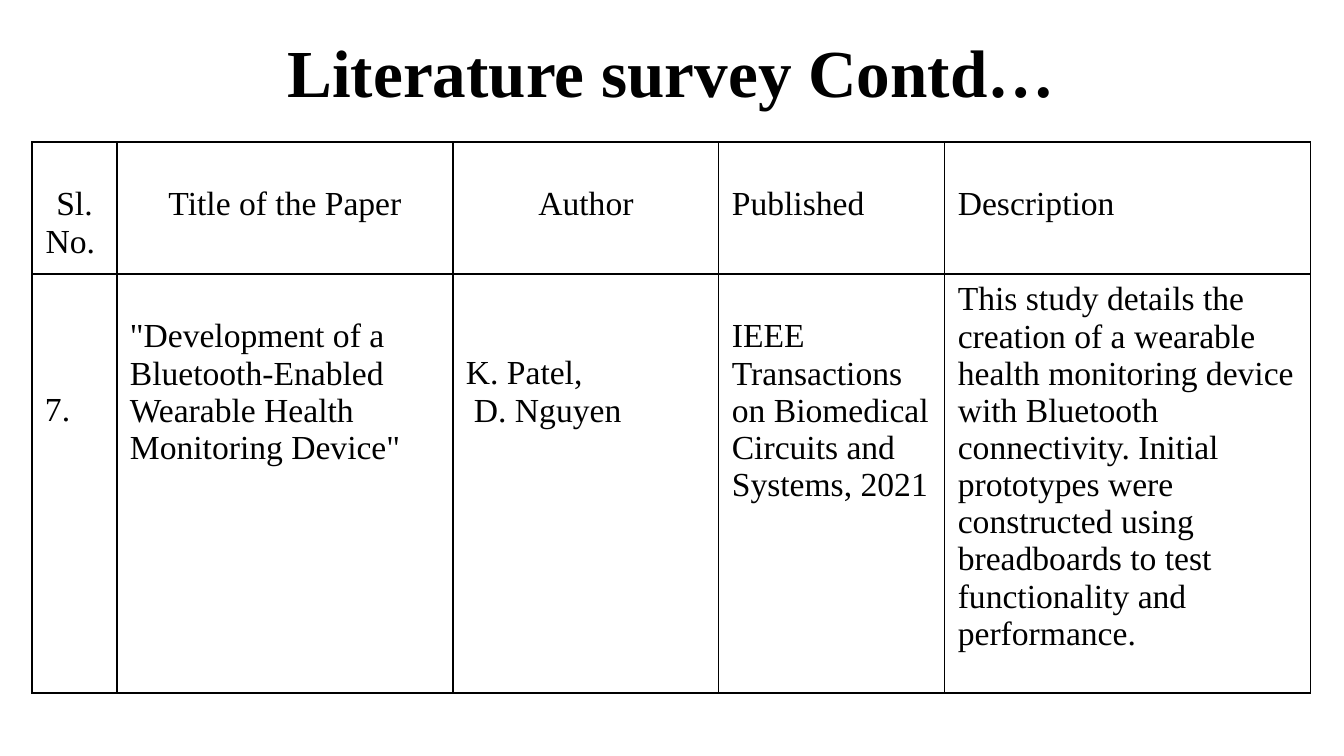
from lxml.etree import SubElement as Sub
from pptx import Presentation
from pptx.dml.color import RGBColor
from pptx.enum.text import MSO_ANCHOR as Anchor, PP_ALIGN as Align
from pptx.oxml.ns import qn
from pptx.util import Pt

SCALE = 12192000 / 1344
BLACK = RGBColor(0, 0, 0)
WHITE = RGBColor(255, 255, 255)
FONT = "Times New Roman"
LINE = 37
PAD_X, PAD_Y = 13, 7
COLS = [85, 336, 266, 226, 366]
ROWS = [132, 419]

HEAD = [
    ("Sl. No. ", 1, Align.CENTER),
    ("Title of the Paper", 1, Align.CENTER),
    ("Author", 1, Align.CENTER),
    ("Published", 1, Align.LEFT),
    ("Description", 1, Align.LEFT),
]
PAPER = [
    ("7.", 3, Align.LEFT),
    ('"Development of a Bluetooth-Enabled Wearable Health Monitoring Device"', 1, Align.LEFT),
    ("K. Patel,\nD. Nguyen", 2, Align.LEFT),
    ("IEEE Transactions on Biomedical Circuits and Systems, 2021", 1, Align.LEFT),
    ("This study details the creation of a wearable health monitoring device "
     "with Bluetooth connectivity. Initial prototypes were constructed using "
     "breadboards to test functionality and performance.", 0, Align.LEFT),
]


def px(num):
    return round(num * SCALE)


def write(frame, text, size=24, bold=False, align=Align.LEFT, space=1.0, indent=0):
    frame.word_wrap = True
    for i, line in enumerate(text.split("\n")):
        para = frame.paragraphs[0] if i == 0 else frame.add_paragraph()
        para.alignment = align
        para.line_spacing = space
        if i and indent:
            para._p.get_or_add_pPr().set("marL", str(px(indent)))
        run = para.add_run()
        run.text = line
        font = run.font
        font.name, font.size, font.bold = FONT, Pt(size), bold
        font.color.rgb = BLACK


def add_title(slide, text):
    box = slide.shapes.add_textbox(px(92), px(3), px(1159), px(146))
    box.text_frame.vertical_anchor = Anchor.MIDDLE
    write(box.text_frame, text, size=48, bold=True, align=Align.CENTER, space=0.9)


def add_edges(cell):
    props = cell._tc.get_or_add_tcPr()
    for side in ("lnL", "lnR", "lnT", "lnB"):
        edge = Sub(props, qn(f"a:{side}"), w=str(Pt(1)))
        fill = Sub(edge, qn("a:solidFill"))
        Sub(fill, qn("a:srgbClr"), val=str(BLACK))


def fill_cell(cell, text, skip, align):
    cell.margin_left = cell.margin_right = px(PAD_X)
    cell.margin_top = px(PAD_Y + skip * LINE)
    cell.margin_bottom = px(PAD_Y)
    add_edges(cell)
    cell.fill.solid()
    cell.fill.fore_color.rgb = WHITE
    write(cell.text_frame, text, align=align, indent=8)


def add_grid(slide, data):
    frame = slide.shapes.add_table(
        len(ROWS), len(COLS), px(32), px(142), px(sum(COLS)), px(sum(ROWS)))
    table = frame.table
    table.first_row = table.horz_banding = False
    for col, wide in zip(table.columns, COLS):
        col.width = px(wide)
    for row, tall, items in zip(table.rows, ROWS, data):
        row.height = px(tall)
        for cell, item in zip(row.cells, items):
            fill_cell(cell, *item)


def main():
    deck = Presentation()
    deck.slide_width, deck.slide_height = px(1344), px(756)
    slide = deck.slides.add_slide(deck.slide_layouts[6])
    add_title(slide, "Literature survey Contd…")
    add_grid(slide, [HEAD, PAPER])
    deck.save("out.pptx")


if __name__ == "__main__":
    main()
